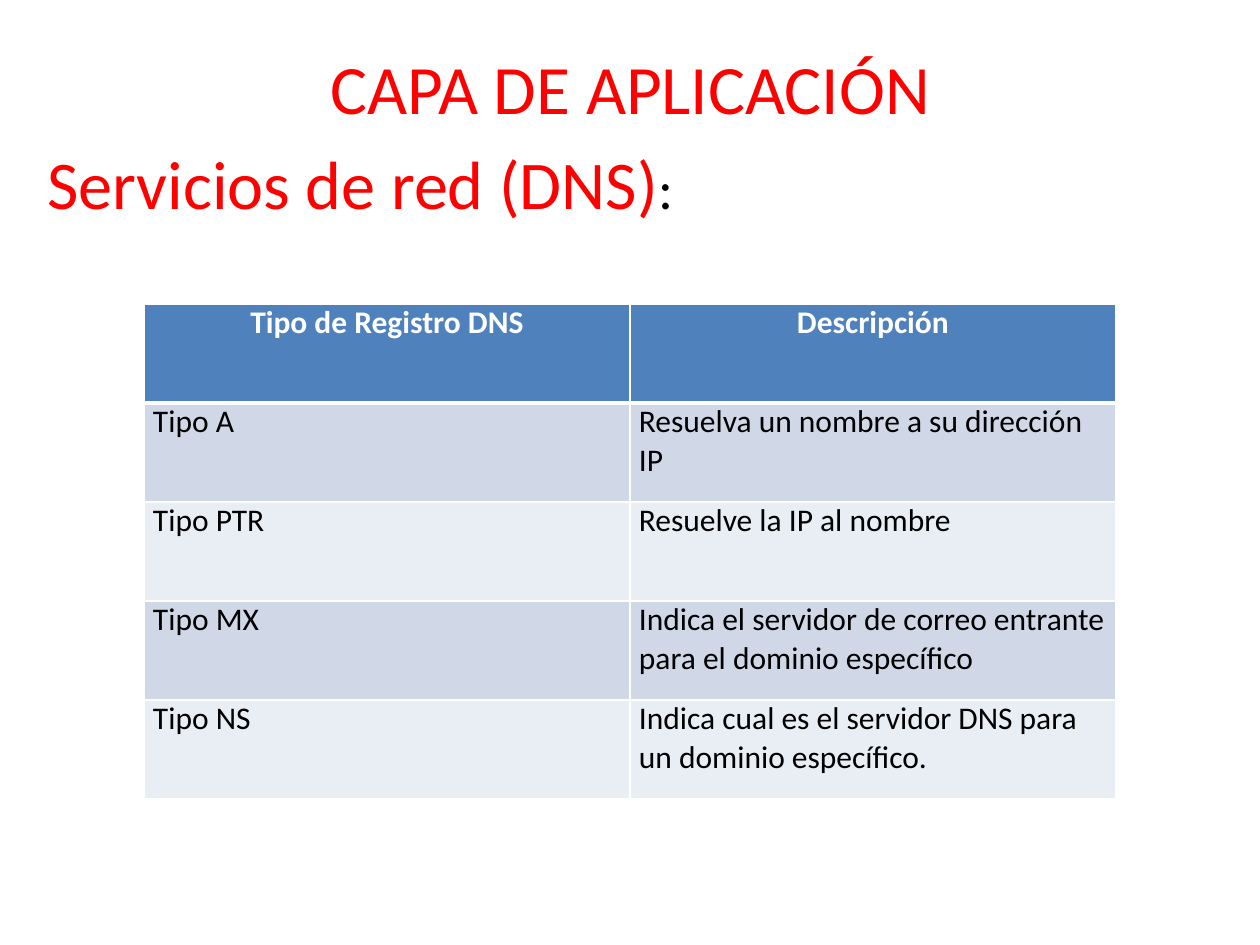
from lxml import etree
from pptx import Presentation
from pptx.dml.color import RGBColor
from pptx.enum.text import MSO_ANCHOR, MSO_AUTO_SIZE, PP_ALIGN
from pptx.oxml.ns import qn
from pptx.util import Pt

CENTER, LEFT = PP_ALIGN.CENTER, PP_ALIGN.LEFT
MIDDLE, TOP = MSO_ANCHOR.MIDDLE, MSO_ANCHOR.TOP
FIXED = MSO_AUTO_SIZE.NONE
RED = RGBColor(0xFF, 0, 0)
BLACK = RGBColor(0, 0, 0)
WHITE = RGBColor(0xFF, 0xFF, 0xFF)
BLUE = RGBColor(0x4F, 0x81, 0xBD)
BANDS = [RGBColor(0xE9, 0xED, 0xF4), RGBColor(0xD0, 0xD8, 0xE8)]
PX = 914400 // 126


def write(frame, text, size=18, color=BLACK, bold=False, align=LEFT):
    para = frame.paragraphs[0]
    para.alignment = align
    run = para.add_run()
    run.text = text
    run.font.name = "Calibri"
    run.font.size = Pt(size)
    run.font.bold = bold
    run.font.color.rgb = color


def border(cell, side, width):
    props = cell._tc.get_or_add_tcPr()
    line = etree.SubElement(props, qn("a:" + side), w=str(Pt(width)))
    fill = etree.SubElement(line, qn("a:solidFill"))
    etree.SubElement(fill, qn("a:srgbClr"), val=str(WHITE))


deck = Presentation()
deck.slide_width, deck.slide_height = 1260 * PX, 945 * PX
slide = deck.slides.add_slide(deck.slide_layouts[5])

title = slide.shapes.title
title.left, title.top, title.width, title.height = [n * PX for n in (95, 37, 1071, 99)]
title.text_frame.auto_size = FIXED
title.text_frame.vertical_anchor = MIDDLE
write(title.text_frame, "CAPA DE APLICACIÓN", size=39.6, color=RED, align=CENTER)

topic = slide.shapes.add_textbox(*[n * PX for n in (35, 135, 1172, 764)]).text_frame
topic.word_wrap = True
topic.vertical_anchor = TOP
write(topic, "Servicios de red (DNS)", size=39, color=RED)
write(topic, ":", size=32)

rows = [
    ("Tipo de Registro DNS", "Descripción"),
    ("Tipo A", "Resuelva un nombre a su dirección IP"),
    ("Tipo PTR", "Resuelve la IP al nombre"),
    ("Tipo MX", "Indica el servidor de correo entrante para el dominio específico"),
    ("Tipo NS", "Indica cual es el servidor DNS para un dominio específico."),
]
COL, ROW = 486, 99
grid = slide.shapes.add_table(
    len(rows), 2, 144 * PX, 304 * PX, 2 * COL * PX, len(rows) * ROW * PX
).table
for col in grid.columns:
    col.width = COL * PX
for r, texts in enumerate(rows):
    head = r == 0
    grid.rows[r].height = ROW * PX
    for c, text in enumerate(texts):
        cell = grid.cell(r, c)
        cell.margin_left = cell.margin_right = 9 * PX
        cell.margin_top = cell.margin_bottom = 0
        for side in ("lnL", "lnR", "lnT", "lnB"):
            thick = (head and side == "lnB") or (r == 1 and side == "lnT")
            border(cell, side, 3 if thick else 1)
        cell.fill.solid()
        cell.fill.fore_color.rgb = BLUE if head else BANDS[r % 2]
        write(
            cell.text_frame,
            text,
            color=WHITE if head else BLACK,
            bold=head,
            align=CENTER if head else LEFT,
        )

deck.save("out.pptx")
